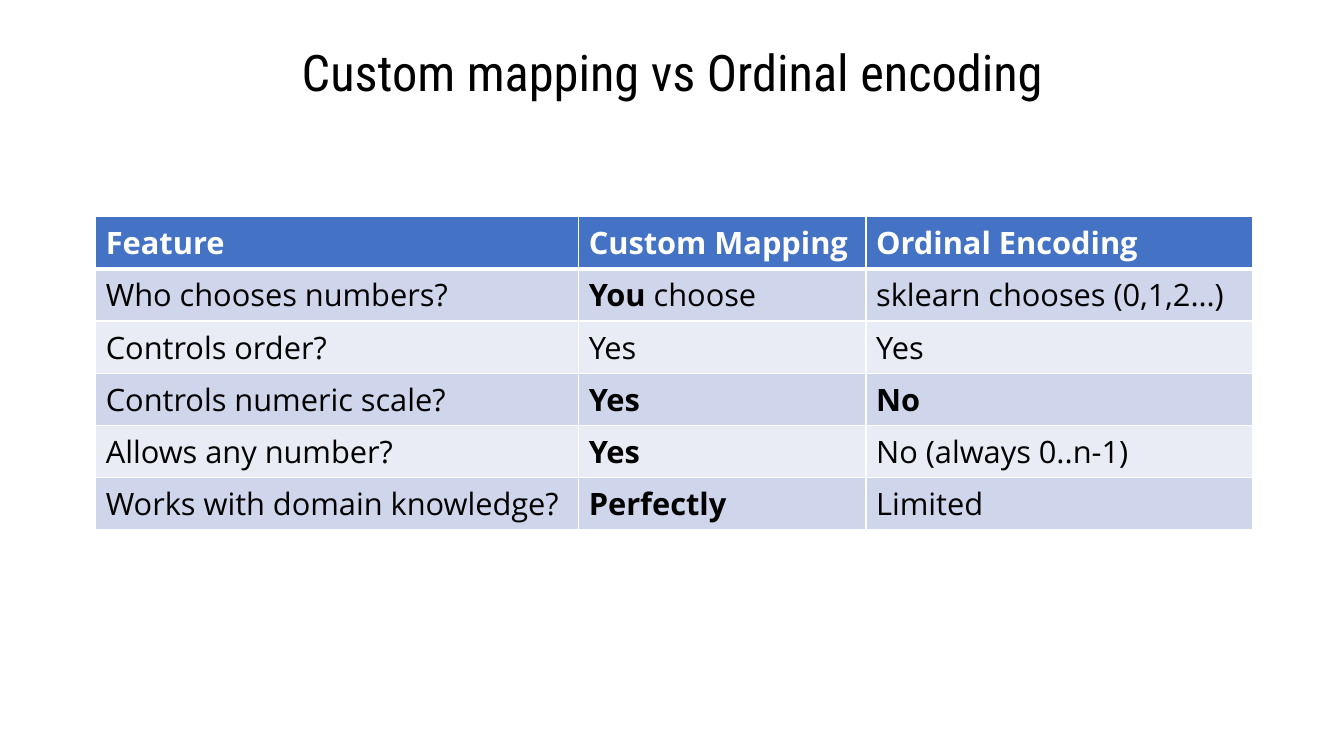
from lxml import etree
from pptx import Presentation
from pptx.dml.color import RGBColor
from pptx.enum import text
from pptx.oxml import ns
from pptx.util import Inches, Pt

TITLE = "Custom mapping vs Ordinal encoding"
ROWS = [
    ("**Feature**", "**Custom Mapping**", "**Ordinal Encoding**"),
    ("Who chooses numbers?", "**You** choose", "sklearn chooses (0,1,2…)"),
    ("Controls order?", "Yes", "Yes"),
    ("Controls numeric scale?", "**Yes**", "**No**"),
    ("Allows any number?", "**Yes**", "No (always 0..n-1)"),
    ("Works with domain knowledge?", "**Perfectly**", "Limited"),
]
WIDTHS = (4.79, 2.85, 3.83)
HEIGHT = 0.41
HEAD, BANDS = "4472C4", ("CFD5EA", "E9EBF5")
WHITE, BLACK = "FFFFFF", "000000"


def color(code):
    return RGBColor.from_string(code)


def style(para, face, size, code):
    para.font.name = face
    para.font.size = Pt(size)
    para.font.color.rgb = color(code)


def border(cell, side, width):
    props = cell._tc.get_or_add_tcPr()
    line = etree.SubElement(props, ns.qn(f"a:ln{side}"), w=str(Pt(width)))
    fill = etree.SubElement(line, ns.qn("a:solidFill"))
    etree.SubElement(fill, ns.qn("a:srgbClr"), val=WHITE)


def write(cell, words, row):
    for side in "LRTB":
        thick = (row, side) in ((0, "B"), (1, "T"))
        border(cell, side, 3 if thick else 1)
    cell.fill.solid()
    cell.fill.fore_color.rgb = color(BANDS[(row - 1) % 2] if row else HEAD)
    cell.vertical_anchor = text.MSO_ANCHOR.MIDDLE
    para = cell.text_frame.paragraphs[0]
    style(para, "Open Sans", 22, BLACK if row else WHITE)
    for i, part in enumerate(words.split("**")):
        if part:
            run = para.add_run()
            run.text = part
            run.font.bold = i % 2 == 1


def main():
    deck = Presentation()
    deck.slide_width, deck.slide_height = Inches(13.33), Inches(7.5)
    slide = deck.slides.add_slide(deck.slide_layouts[5])

    title = slide.shapes.title
    title.left, title.top = Inches(0.92), Inches(0.4)
    title.width, title.height = Inches(11.5), Inches(0.7)
    title.text_frame.text = TITLE
    title.text_frame.vertical_anchor = text.MSO_ANCHOR.MIDDLE
    para = title.text_frame.paragraphs[0]
    para.alignment = text.PP_ALIGN.CENTER
    para.line_spacing = 0.9
    style(para, "Roboto Condensed", 36, BLACK)

    table = slide.shapes.add_table(
        len(ROWS), len(WIDTHS), Inches(0.95), Inches(2.15),
        Inches(sum(WIDTHS)), Inches(HEIGHT * len(ROWS))).table
    for col, width in zip(table.columns, WIDTHS):
        col.width = Inches(width)
    for r, row in enumerate(ROWS):
        table.rows[r].height = Inches(HEIGHT)
        for c, words in enumerate(row):
            write(table.cell(r, c), words, r)

    deck.save("out.pptx")


if __name__ == "__main__":
    main()
